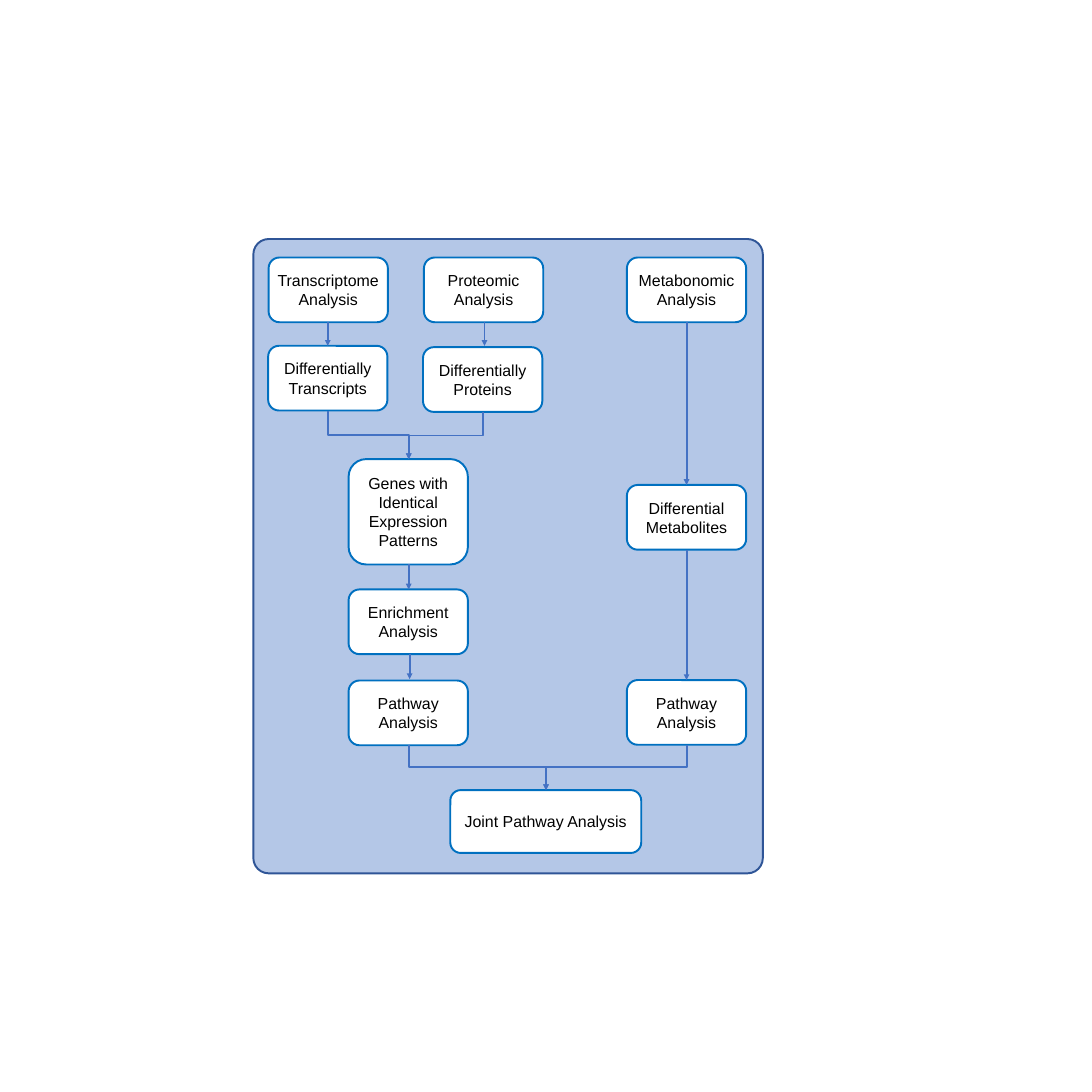
from lxml import etree
from pptx import Presentation
from pptx.dml.color import RGBColor
from pptx.enum.shapes import MSO_CONNECTOR, MSO_SHAPE
from pptx.enum.text import MSO_ANCHOR, PP_ALIGN
from pptx.oxml.ns import qn
from pptx.util import Pt

STRAIGHT, ELBOW = MSO_CONNECTOR.STRAIGHT, MSO_CONNECTOR.ELBOW
ROUNDED = MSO_SHAPE.ROUNDED_RECTANGLE
CENTER, MIDDLE = PP_ALIGN.CENTER, MSO_ANCHOR.MIDDLE

EMU_PER_PX = 9144  # 100 px to the inch
SLIDE_SIDE = 2362
STEP_WIDTH, STEP_HEIGHT = 258, 140
LINE_WIDTH = Pt(3)

WHITE = RGBColor(0xFF, 0xFF, 0xFF)
BLACK = RGBColor(0, 0, 0)
PANEL_FILL = RGBColor(0xB4, 0xC7, 0xE7)
PANEL_LINE = RGBColor(0x2F, 0x55, 0x97)
STEP_LINE = RGBColor(0x00, 0x70, 0xC0)
ARROW_LINE = RGBColor(0x44, 0x72, 0xC4)

# left, top, lines of text
STEPS = [
    (581, 557, ["Transcriptome", "Analysis"]),
    (917, 557, ["Proteomic", "Analysis"]),
    (1356, 557, ["Metabonomic", "Analysis"]),
    (580, 748, ["Differentially", "Transcripts"]),
    (915, 751, ["Differentially Proteins"]),
    (754, 1275, ["Enrichment", "Analysis"]),
    (754, 1472, ["Pathway", "Analysis"]),
    (1356, 1049, ["Differential", "Metabolites"]),
    (1356, 1471, ["Pathway", "Analysis"]),
]
# x, top, bottom
DOWN_ARROWS = [
    (709, 697, 748),
    (1048, 697, 748),
    (884, 1221, 1275),
    (886, 1415, 1469),
    (1485, 697, 1049),
    (1485, 1189, 1471),
]
# start x, start y, end x, end y
MERGE_ARROWS = [
    (709, 888, 884, 993),
    (1045, 891, 884, 993),
    (884, 1611, 1181, 1709),
    (1485, 1611, 1181, 1709),
]


def px(*lengths):
    return [round(length * EMU_PER_PX) for length in lengths]


def add_rounded_box(slide, left, top, width, height, fill, line):
    box = slide.shapes.add_shape(ROUNDED, *px(left, top, width, height))
    box.shadow.inherit = False
    box.fill.solid()
    box.fill.fore_color.rgb = fill
    box.line.color.rgb = line
    box.line.width = LINE_WIDTH
    return box


def write_text(frame, lines, size=24.8, font="Arial", color=BLACK, align=CENTER):
    """Fill the frame with one paragraph for each line."""
    frame.word_wrap = True
    frame.vertical_anchor = MIDDLE
    frame.margin_left = frame.margin_right = 0
    frame.text = "\n".join(lines)
    for paragraph in frame.paragraphs:
        paragraph.alignment = align
        for run in paragraph.runs:
            run.font.size = Pt(size)
            run.font.name = font
            run.font.color.rgb = color


def add_step(slide, left, top, lines, width=STEP_WIDTH, height=STEP_HEIGHT):
    step = add_rounded_box(slide, left, top, width, height, WHITE, STEP_LINE)
    write_text(step.text_frame, lines)


def add_arrow(slide, kind, *ends):
    arrow = slide.shapes.add_connector(kind, *px(*ends))
    arrow.line.color.rgb = ARROW_LINE
    arrow.line.width = LINE_WIDTH
    properties = arrow._element.spPr
    etree.SubElement(properties.find(qn("a:ln")), qn("a:tailEnd"), type="triangle")
    etree.SubElement(properties, qn("a:effectLst"))
    return arrow


def add_merge_arrow(slide, start_x, start_y, end_x, end_y):
    """Draw an elbow that leaves and arrives vertically."""
    drop, run = end_y - start_y, abs(end_x - start_x)
    left = (start_x + end_x - drop) / 2
    top = (start_y + end_y - run) / 2
    arrow = add_arrow(slide, ELBOW, left, top, left + drop, top + run)
    transform = arrow._element.spPr.find(qn("a:xfrm"))
    if end_x < start_x:
        transform.set("rot", "5400000")
    else:
        transform.set("rot", "16200000")
        transform.set("flipH", "1")


def main():
    presentation = Presentation()
    presentation.slide_width, presentation.slide_height = px(SLIDE_SIDE, SLIDE_SIDE)
    slide = presentation.slides.add_slide(presentation.slide_layouts[6])

    panel = add_rounded_box(slide, 548, 517, 1102, 1372, PANEL_FILL, PANEL_LINE)
    panel.adjustments[0] = 0.03
    for left, top, lines in STEPS:
        add_step(slide, left, top, lines)
    add_step(slide, 754, 993, ["Genes with Identical Expression Patterns"], height=228)
    add_step(slide, 974, 1709, ["Joint Pathway Analysis"], width=413, height=136)

    for x, top, bottom in DOWN_ARROWS:
        add_arrow(slide, STRAIGHT, x, top, x, bottom)
    for ends in MERGE_ARROWS:
        add_merge_arrow(slide, *ends)

    presentation.save("out.pptx")


if __name__ == "__main__":
    main()
